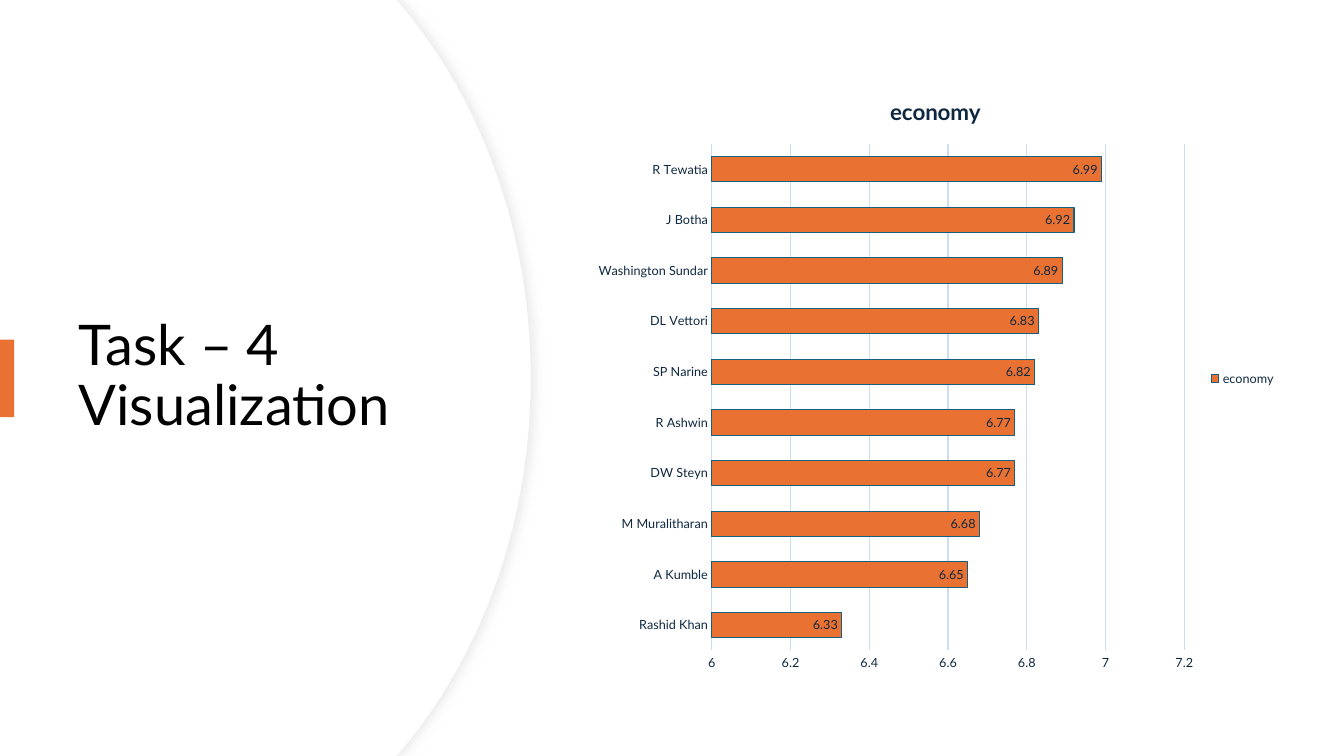
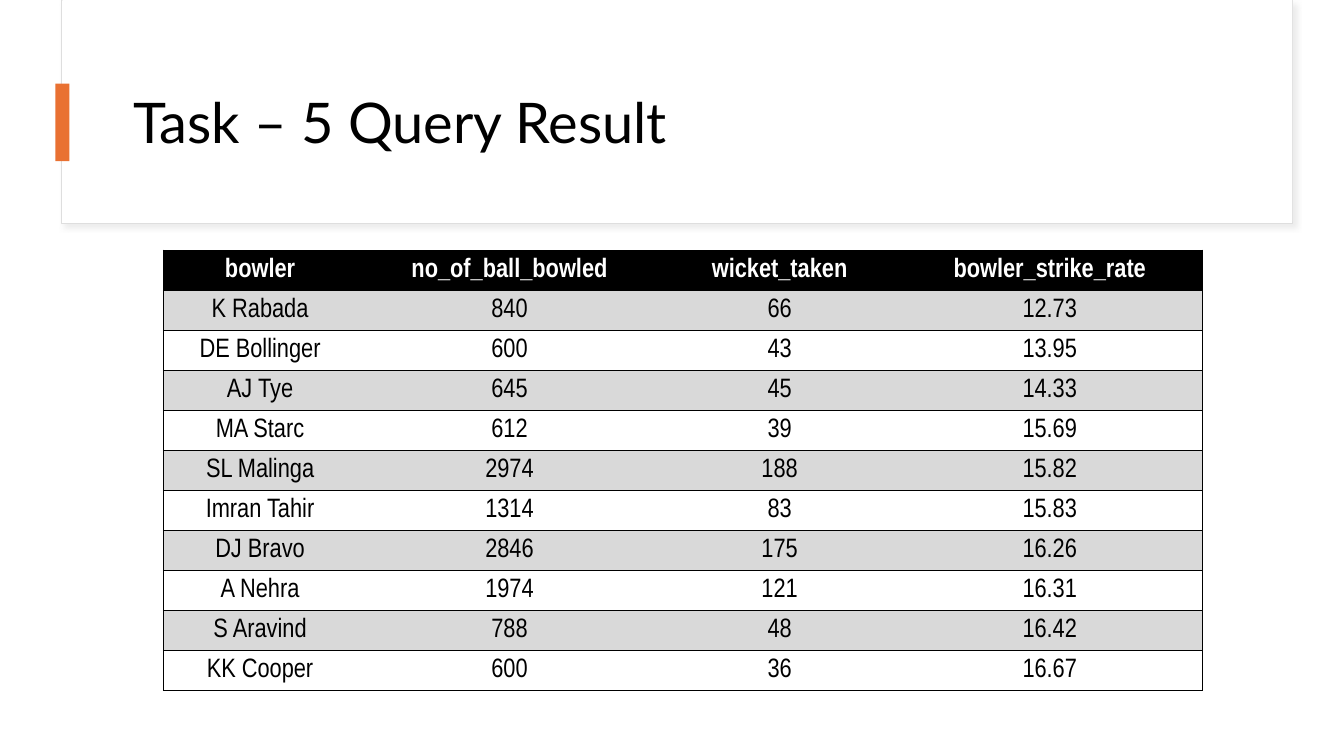
"""Build two cricket slides: a bar chart of economy rates and a table of strike rates."""
from lxml.etree import SubElement as Sub
from pptx import Presentation
from pptx.chart.data import CategoryChartData as ChartData
from pptx.dml.color import RGBColor as RGB
from pptx.enum.chart import XL_CHART_TYPE as Kind, XL_LABEL_POSITION as Spot
from pptx.enum.chart import XL_LEGEND_POSITION as Side, XL_TICK_MARK as Tick
from pptx.enum.shapes import MSO_SHAPE as Form
from pptx.enum.text import MSO_ANCHOR as Anchor, MSO_AUTO_SIZE as Fit, PP_ALIGN as Align
from pptx.oxml.ns import qn
from pptx.util import Inches, Pt

HUES = {name: RGB.from_string(code) for name, code in {
    "white": "FFFFFF", "black": "000000", "accent": "E97132", "navy": "0E2841",
    "teal": "156082", "grid": "CADFF4", "grey": "D9D9D9", "arc": "EFEFEF",
    "rim": "DEDEDE"}.items()}
FONT = "Lato"
PLAIN = "{2D5ABB26-0587-4C30-8999-92F81FD0307C}"

deck = Presentation()
deck.slide_width, deck.slide_height = Inches(13.33), Inches(7.5)
COL, ROW = deck.slide_width / 100, deck.slide_height / 100


def box(x, y, w, h):
    """Turn columns and rows of a 100 by 100 grid into slide lengths."""
    return [round(n * unit) for n, unit in zip((x, y, w, h), (COL, ROW) * 2)]


def paint(shape, fill, line=None, blur=0, turn=0):
    """Set the fill, the outline and a soft shadow of a shape."""
    shape.shadow.inherit = False
    shape.fill.solid()
    shape.fill.fore_color.rgb = HUES[fill]
    if line:
        shape.line.color.rgb = HUES[line]
        shape.line.width = Pt(0.75)
    else:
        shape.line.fill.background()
    if blur:
        glow = Sub(shape.element.spPr.find(qn("a:effectLst")), qn("a:outerShdw"),
                   blurRad=str(Pt(blur)), dist=str(Pt(3)), dir=str(turn * 60000),
                   algn="ctr", rotWithShape="0")
        tone = Sub(glow, qn("a:srgbClr"), val=str(HUES["grey"]))
        Sub(tone, qn("a:alpha"), val="50000")


first, second = [deck.slides.add_slide(deck.slide_layouts[5]) for _ in range(2)]

knots = (30.08, 1.07), (35.93, 13.6), (39.53, 30.93), (39.53, 50)
steps = [n / 24 for n in range(25)]
upper = [(29.55, 0)] + [
    tuple(sum(k * p[axis] for k, p in zip(
        ((1 - t) ** 3, 3 * t * (1 - t) ** 2, 3 * t * t * (1 - t), t ** 3), knots))
        for axis in (0, 1)) for t in steps]
curve = upper + [(x, 100 - y) for x, y in upper[-2::-1]]
for shift, look in ((0, ("arc", 7)), (0.08, ())):
    pen = first.shapes.build_freeform(0, 0)
    pen.add_line_segments([box(x - shift, y, 0, 0)[:2] for x, y in curve]
                          + [box(0, 100, 0, 0)[:2]])
    paint(pen.convert_to_shape(), "white", *look)

for place, look in (((4.58, 0.13, 91.58, 29.47), ("rim", 4, 45)),
                    ((4.65, 0, 91.5, 29.33), ())):
    paint(second.shapes.add_shape(Form.RECTANGLE, *box(*place)), "white", *look)

for slide, text, place, spot in (
        (first, "Task – 4 Visualization", (5.1, 16.93, 29.55, 66), (0, 44.93)),
        (second, "Task – 5 Query Result", (9.15, 8, 83.4, 17.2), (4.12, 11.07))):
    title = slide.shapes.title
    title.element.getparent().append(title.element)
    title.left, title.top, title.width, title.height = box(*place)
    frame = title.text_frame
    frame.text = text
    frame.word_wrap, frame.auto_size = True, Fit.NONE
    frame.vertical_anchor = Anchor.MIDDLE
    head = frame.paragraphs[0]
    head.alignment, head.line_spacing = Align.LEFT, 0.9
    head.font.name, head.font.size = FONT, Pt(40)
    head.font.color.rgb = HUES["black"]
    paint(slide.shapes.add_shape(Form.RECTANGLE, *box(*spot, 1.05, 10.27)), "accent")

rates = {"Rashid Khan": 6.33, "A Kumble": 6.65, "M Muralitharan": 6.68, "DW Steyn": 6.77,
         "R Ashwin": 6.77, "SP Narine": 6.82, "DL Vettori": 6.83,
         "Washington Sundar": 6.89, "J Botha": 6.92, "R Tewatia": 6.99}
data = ChartData()
data.categories = list(rates)
data.add_series("economy", list(rates.values()))
chart = first.shapes.add_chart(Kind.BAR_CLUSTERED, *box(43.5, 9.87, 52.2, 80.4), data).chart
chart.font.name, chart.font.size = FONT, Pt(9)
chart.font.color.rgb = HUES["navy"]
chart.has_title = True
chart.chart_title.text_frame.text = "economy"
name = chart.chart_title.text_frame.paragraphs[0].font
name.name, name.size, name.bold = FONT, Pt(16), True
name.color.rgb = HUES["navy"]
chart.has_legend = True
chart.legend.position = Side.RIGHT
chart.legend.include_in_layout = False

plot = chart.plots[0]
plot.gap_width, plot.vary_by_categories = 100, False
bars = plot.series[0].format
bars.fill.solid()
bars.fill.fore_color.rgb = HUES["accent"]
plot.has_data_labels = True
plot.data_labels.show_value = True
plot.data_labels.position = Spot.INSIDE_END

names, scale = chart.category_axis, chart.value_axis
names.major_tick_mark = scale.major_tick_mark = Tick.NONE
scale.minimum_scale, scale.maximum_scale, scale.major_unit = 6, 7.2, 0.2
scale.format.line.fill.background()
for line, hue in ((bars.line, "teal"), (names.format.line, "grid"),
                  (scale.major_gridlines.format.line, "grid")):
    line.color.rgb = HUES[hue]
    line.width = Pt(0.75)

rows = [
    ("bowler", "no_of_ball_bowled", "wicket_taken", "bowler_strike_rate"),
    ("K Rabada", "840", "66", "12.73"),
    ("DE Bollinger", "600", "43", "13.95"),
    ("AJ Tye", "645", "45", "14.33"),
    ("MA Starc", "612", "39", "15.69"),
    ("SL Malinga", "2974", "188", "15.82"),
    ("Imran Tahir", "1314", "83", "15.83"),
    ("DJ Bravo", "2846", "175", "16.26"),
    ("A Nehra", "1974", "121", "16.31"),
    ("S Aravind", "788", "48", "16.42"),
    ("KK Cooper", "600", "36", "16.67"),
]
widths = 14.4, 22.72, 17.48, 22.72
holder = second.shapes.add_table(len(rows), len(widths),
                                 *box(12.15, 33.07, sum(widths), 58.27))
table = holder.table
table.first_row = table.horz_banding = False
holder.element.find(".//" + qn("a:tableStyleId")).text = PLAIN
for column, width in zip(table.columns, widths):
    column.width = round(width * COL)
for r, row in enumerate(rows):
    for c, text in enumerate(row):
        cell = table.cell(r, c)
        cell.text = text
        cell.vertical_anchor = Anchor.MIDDLE
        cell.margin_left = cell.margin_right = cell.margin_top = Inches(0.01)
        cell.margin_bottom = 0
        para = cell.text_frame.paragraphs[0]
        para.alignment = Align.CENTER
        para.font.name, para.font.size, para.font.bold = "Arial Narrow", Pt(19), r == 0
        para.font.color.rgb = HUES["black" if r else "white"]
        sides = ["lnL"] * (c == 0) + ["lnR"] * (c == len(row) - 1) + ["lnT", "lnB"]
        for side in sides:
            edge = Sub(cell._tc.get_or_add_tcPr(), qn("a:" + side), w=str(Pt(0.5)))
            Sub(Sub(edge, qn("a:solidFill")), qn("a:srgbClr"), val=str(HUES["black"]))
        cell.fill.solid()
        cell.fill.fore_color.rgb = HUES["black" if r == 0 else "grey" if r % 2 else "white"]

deck.save("out.pptx")
